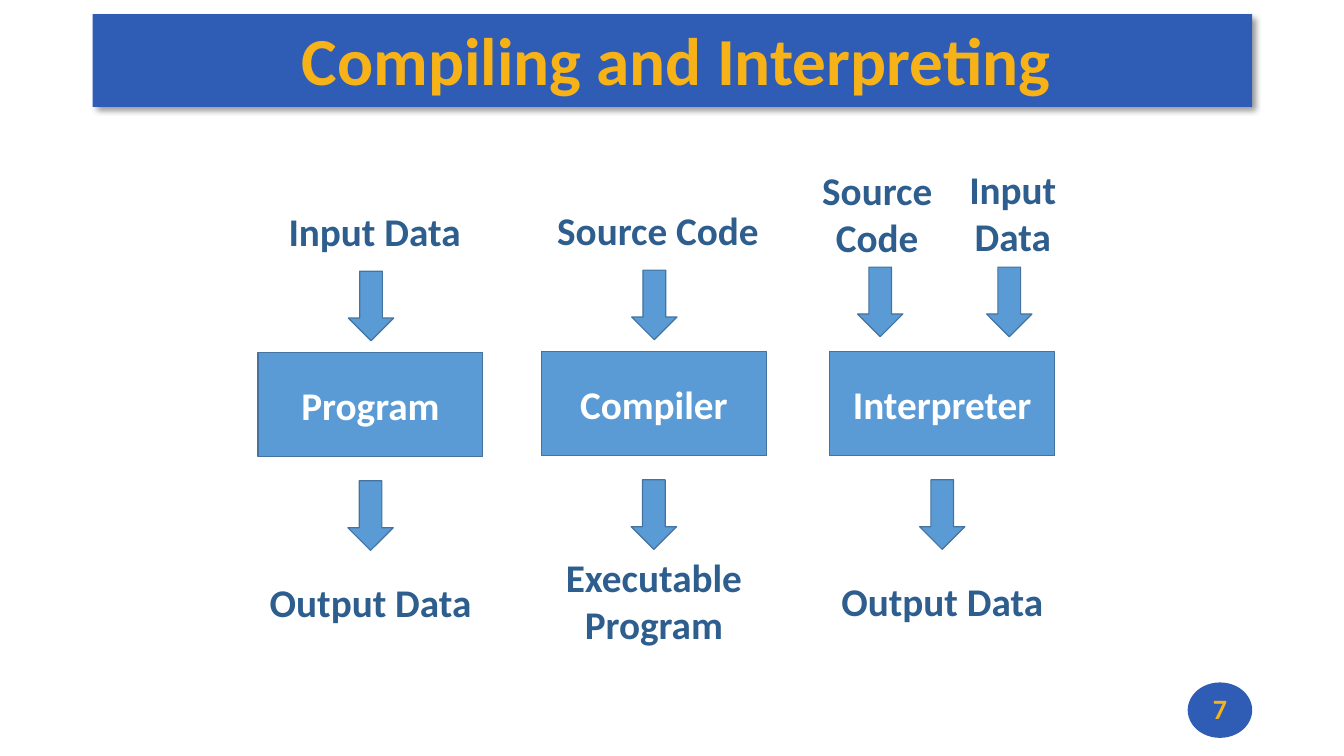
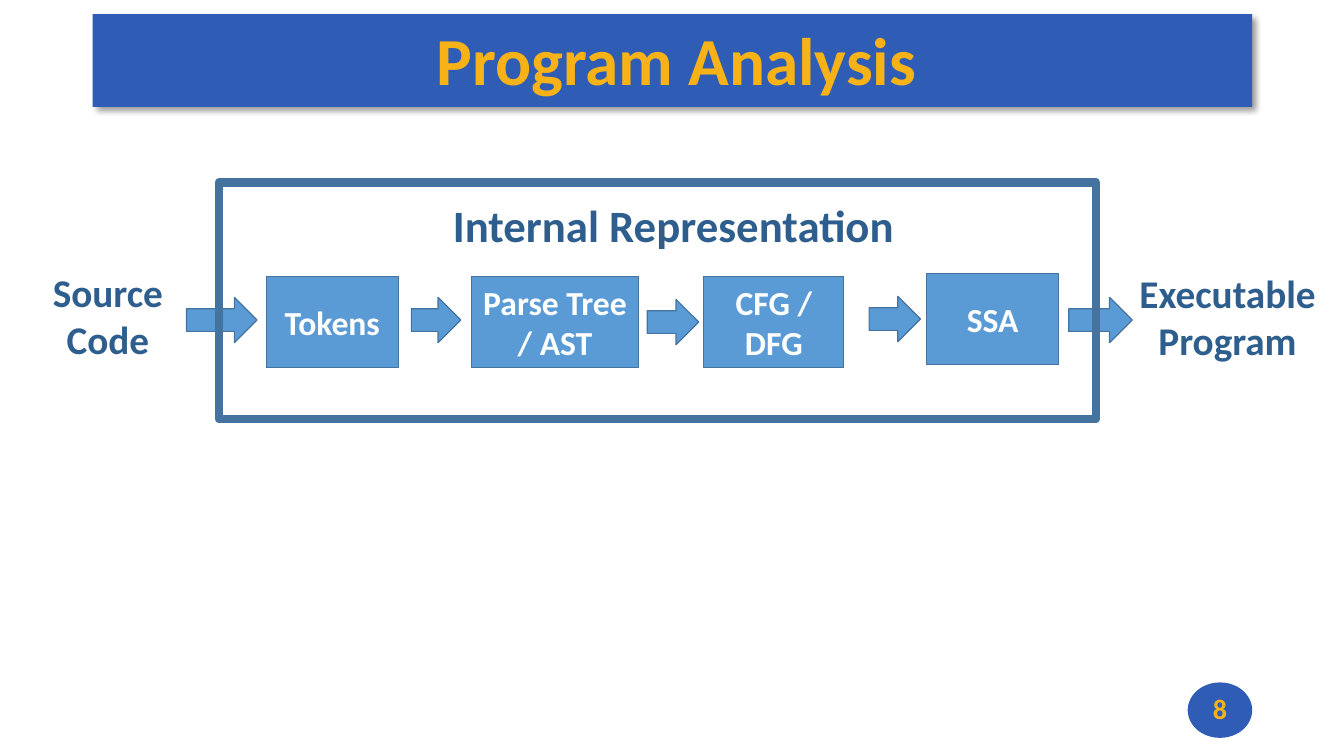
import lxml.etree
import pptx
import pptx.dml.color
import pptx.enum.shapes
import pptx.enum.text
import pptx.oxml.ns
import pptx.util

Inches = pptx.util.Inches
RGBColor = pptx.dml.color.RGBColor
SHAPE = pptx.enum.shapes.MSO_SHAPE

# Shared style
FONT = "Calibri"
BAND_BLUE = RGBColor(0x2F, 0x5C, 0xB5)
GOLD = RGBColor(0xF7, 0xB2, 0x17)
BOX_BLUE = RGBColor(0x5B, 0x9B, 0xD5)
OUTLINE = RGBColor(0x43, 0x73, 0x9E)
LABEL_BLUE = RGBColor(0x2E, 0x5E, 0x8E)
WHITE = RGBColor(0xFF, 0xFF, 0xFF)

BOX_INSETS = (0.1, 0.05, 0.1, 0.05)
LABEL_INSETS = (0.08, 0.03, 0, 0.03)
LABEL_HEIGHT = 1
LABEL_WIDTH = 2.31
ARROW_THICKNESS = 0.45

# Slide 1: box left, top, name, output and inputs
# Each input: text, label offset from the box (x, y), label width, arrow centre, arrow rise
COLUMNS = [
    (2.56, 3.5, "Program", "Output Data",
     [("Input Data", -0.04, -1.71, LABEL_WIDTH, 1.12, 0.81)]),
    (5.37, 3.49, "Compiler", "Executable Program",
     [("Source Code", -0.04, -1.71, LABEL_WIDTH, 1.12, 0.81)]),
    (8.23, 3.49, "Interpreter", "Output Data",
     [("Source Code", -0.26, -1.87, 1.38, 0.5, 0.84),
      ("Input Data", 1.12, -1.88, 1.31, 1.78, 0.84)]),
]
COLUMN_BOX = (2.23, 1.03)
DOWN_ARROW_LENGTH = 0.69

# Slide 2: left, top, width and text of each stage; left, top and length of each arrow
STAGES = [
    (2.64, 2.74, 1.31, "Tokens"),
    (4.68, 2.74, 1.65, "Parse Tree / AST"),
    (6.98, 2.74, 1.39, "CFG / DFG"),
    (9.19, 2.71, 1.31, "SSA"),
]
STAGE_HEIGHT = 0.91
STAGE_ARROWS = [
    (1.85, 2.95, 0.7),
    (4.08, 2.95, 0.49),
    (6.42, 2.97, 0.51),
    (8.62, 2.94, 0.51),
    (10.6, 2.95, 0.63),
]
ENDS = [
    (0.21, 2.63, 1.64, "Source\nCode"),
    (10.98, 2.64, LABEL_WIDTH, "Executable Program"),
]


def add_shape(shapes, kind, box, fill=None, line=None, line_width=0.85):
    shape = shapes.add_shape(kind, *map(Inches, box))
    shape.shadow.inherit = False
    if fill is None:
        shape.fill.background()
    else:
        shape.fill.solid()
        shape.fill.fore_color.rgb = fill
    if line is None:
        shape.line.fill.background()
    else:
        shape.line.color.rgb = line
        shape.line.width = pptx.util.Pt(line_width)
    return shape


def write(shape, text, size, color, insets=BOX_INSETS):
    frame = shape.text_frame
    frame.word_wrap = True
    frame.vertical_anchor = pptx.enum.text.MSO_ANCHOR.MIDDLE
    (frame.margin_left, frame.margin_top,
     frame.margin_right, frame.margin_bottom) = map(Inches, insets)
    frame.text = text
    for paragraph in frame.paragraphs:
        paragraph.alignment = pptx.enum.text.PP_ALIGN.CENTER
        for run in paragraph.runs:
            run.font.name = FONT
            run.font.size = pptx.util.Pt(size)
            run.font.bold = True
            run.font.color.rgb = color


def add_label(shapes, left, top, width, text):
    label = add_shape(shapes, SHAPE.RECTANGLE, (left, top, width, LABEL_HEIGHT), WHITE)
    write(label, text, 28, LABEL_BLUE, LABEL_INSETS)


def add_box(shapes, box, text, size):
    write(add_shape(shapes, SHAPE.RECTANGLE, box, BOX_BLUE, OUTLINE), text, size, WHITE)


def add_down_arrow(shapes, center, top):
    box = (center - ARROW_THICKNESS / 2, top, ARROW_THICKNESS, DOWN_ARROW_LENGTH)
    add_shape(shapes, SHAPE.DOWN_ARROW, box, BOX_BLUE, OUTLINE)


def add_drop_shadow(shape):
    qn = pptx.oxml.ns.qn
    effects = shape._element.spPr.find(qn("a:effectLst"))
    shadow = lxml.etree.SubElement(
        effects, qn("a:outerShdw"), blurRad=str(pptx.util.Pt(4)),
        dist=str(pptx.util.Pt(3)), dir=str(45 * 60000), algn="tl", rotWithShape="0")
    color = lxml.etree.SubElement(shadow, qn("a:srgbClr"), val="000000")
    lxml.etree.SubElement(color, qn("a:alpha"), val="40000")


def add_slide(presentation, title, number):
    slide = presentation.slides.add_slide(presentation.slide_layouts[6])
    band = add_shape(slide.shapes, SHAPE.RECTANGLE, (0.92, 0.14, 11.5, 0.92), BAND_BLUE)
    add_drop_shadow(band)
    write(band, title, 48, GOLD, (0.08, 0.02, 0, 0.06))
    badge = add_shape(slide.shapes, SHAPE.OVAL, (11.78, 6.77, 0.64, 0.55), BAND_BLUE)
    write(badge, str(number), 20, GOLD, (0, 0, 0, 0.03))
    return slide


def build_comparison(presentation):
    slide = add_slide(presentation, "Compiling and Interpreting", 7)
    width, height = COLUMN_BOX
    for left, top, name, output, inputs in COLUMNS:
        shapes = slide.shapes.add_group_shape().shapes
        for text, dx, dy, label_width, arrow_center, arrow_rise in inputs:
            add_label(shapes, left + dx, top + dy, label_width, text)
            add_down_arrow(shapes, left + arrow_center, top - arrow_rise)
        add_box(shapes, (left, top, width, height), name, 28)
        add_down_arrow(shapes, left + width / 2, top + 1.27)
        add_label(shapes, left - 0.08, top + 1.97, LABEL_WIDTH, output)


def build_analysis(presentation):
    shapes = add_slide(presentation, "Program Analysis", 8).shapes
    for end in ENDS:
        add_label(shapes, *end)
    for left, top, width, text in STAGES:
        add_box(shapes, (left, top, width, STAGE_HEIGHT), text, 24)
    for left, top, length in STAGE_ARROWS:
        add_shape(shapes, SHAPE.RIGHT_ARROW, (left, top, length, ARROW_THICKNESS),
                  BOX_BLUE, OUTLINE)

    # Frame around the stages, with its heading
    add_shape(shapes, SHAPE.RECTANGLE, (2.17, 1.81, 8.7, 2.35), line=OUTLINE, line_width=6)
    heading = shapes.add_textbox(*map(Inches, (4.4, 1.73, 4.48, 1)))
    write(heading, "Internal Representation", 32, LABEL_BLUE, LABEL_INSETS)


def main():
    presentation = pptx.Presentation()
    presentation.slide_width = Inches(13.33)
    presentation.slide_height = Inches(7.5)
    build_comparison(presentation)
    build_analysis(presentation)
    presentation.save("out.pptx")


if __name__ == "__main__":
    main()
